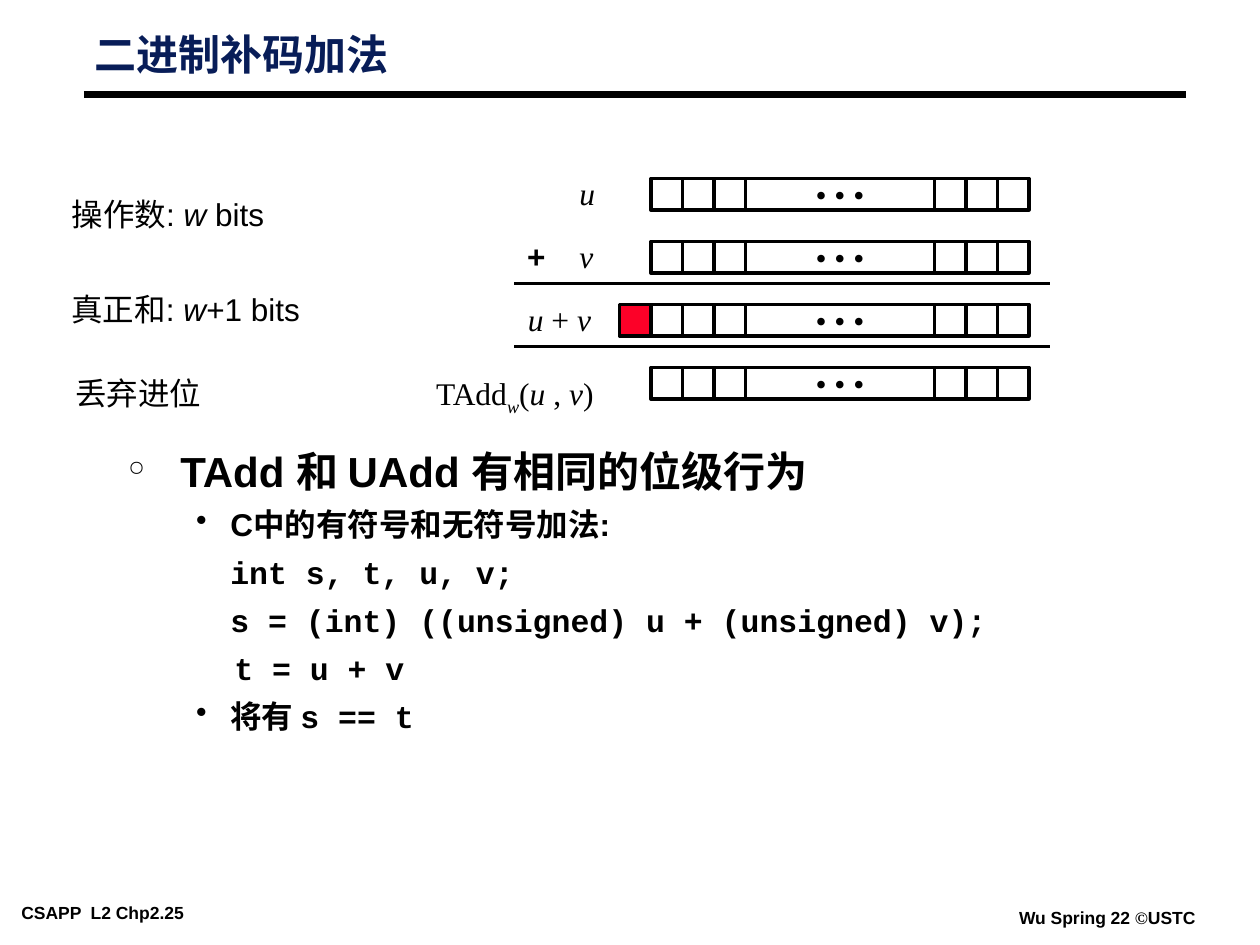
import pptx
import pptx.dml.color
import pptx.enum.shapes
import pptx.enum.text
import pptx.oxml
import pptx.oxml.ns
import pptx.util
from pptx.util import Pt

COLORS = {"ink": "000000", "title": "081D58", "cell": "FFFFFF", "carry": "FC0128"}
SANS, SERIF, MONO = "Arial", "Times New Roman", "Courier New"
ALIGN = pptx.enum.text.PP_ALIGN
MIDDLE = pptx.enum.text.MSO_ANCHOR.MIDDLE
RECT = pptx.enum.shapes.MSO_SHAPE.RECTANGLE
STRAIGHT = pptx.enum.shapes.MSO_CONNECTOR.STRAIGHT

CELL, GAP = 18, 6 * 18          # bit cell side, width of the middle cell
BITS_X, BITS_Y, ROW_STEP = 372, 102, 36


def rgb(name):
    return pptx.dml.color.RGBColor.from_string(COLORS[name])


def add_xml(parent, body):
    ns = pptx.oxml.ns.nsdecls("a")
    parent.append(pptx.oxml.parse_xml(body.replace("/>", f" {ns}/>", 1)
                                      if body.endswith("/>") and body.count("<") == 1
                                      else body.replace(">", f" {ns}>", 1)))


def set_font(font, face, size, bold=None, color="ink"):
    font.name, font.size, font.bold = face, Pt(size), bold
    font.color.rgb = rgb(color)


def add_runs(p, runs):
    """Each run is a text, or a text with a dict of font settings."""
    for run in runs:
        text, settings = (run, {}) if isinstance(run, str) else run
        r = p.add_run()
        r.text = text
        for name, value in settings.items():
            setattr(r.font, name, value)


def add_text(s, box, runs, face=SANS, size=18, bold=None, color="ink",
             align=ALIGN.LEFT, wrap=False, inset=(7.2, 3.6)):
    tb = s.shapes.add_textbox(*map(Pt, box))
    tf = tb.text_frame
    tf.word_wrap = wrap
    tf.margin_left = tf.margin_right = Pt(inset[0])
    tf.margin_top = tf.margin_bottom = Pt(inset[1])
    p = tf.paragraphs[0]
    p.alignment = align
    set_font(p.font, face, size, bold, color)
    add_runs(p, runs)
    return tf


def add_line(s, x1, x2, y, width):
    ln = s.shapes.add_connector(STRAIGHT, Pt(x1), Pt(y), Pt(x2), Pt(y))
    ln.line.color.rgb = rgb("ink")
    ln.line.width = Pt(width)
    add_xml(ln._element.spPr, "<a:effectLst/>")


def add_cell(group, x, y, width=CELL, color="cell"):
    sp = group.shapes.add_shape(RECT, Pt(x), Pt(y), Pt(width), Pt(CELL))
    sp.shadow.inherit = False
    sp.fill.solid()
    sp.fill.fore_color.rgb = rgb(color)
    sp.line.color.rgb = rgb("ink")
    sp.line.width = Pt(2)
    return sp


def add_bit_row(s, y, carry=False):
    group = s.shapes.add_group_shape()
    middle = BITS_X + 3 * CELL
    for start in (BITS_X, middle + GAP):
        for i in range(3):
            add_cell(group, start + i * CELL, y)
    tf = add_cell(group, middle, y, GAP).text_frame
    tf.word_wrap = False
    tf.vertical_anchor = MIDDLE
    p = tf.paragraphs[0]
    p.alignment = ALIGN.CENTER
    set_font(p.font, SERIF, 18)
    add_runs(p, ["•\u00a0•\u00a0•"])
    if carry:
        add_cell(group, BITS_X - CELL, y, color="carry")


def add_body_item(p, runs, face, size, left, hang, spacing, before, bullet):
    pPr = p._p.get_or_add_pPr()
    pPr.set("marL", str(Pt(left)))
    pPr.set("indent", str(-Pt(hang)))
    p.line_spacing, p.space_before = spacing, Pt(before)
    if bullet:
        add_xml(pPr, f'<a:buChar char="{bullet}"/>')
    set_font(p.font, face, size, True)
    add_runs(p, runs)


def add_body(s):
    tf = s.shapes.add_textbox(Pt(66), Pt(258), Pt(589), Pt(165.6)).text_frame
    tf.word_wrap = True
    sub = dict(size=18, spacing=0.85, before=9)
    bullet = dict(sub, face=SANS, left=58.5, hang=19.5, bullet="•")
    code = dict(sub, face=MONO, hang=0, bullet=None)
    items = [
        (["TAdd 和 UAdd 有相同的位级行为"],
         dict(face=SANS, size=24, left=30, hang=30, spacing=0.75, before=19.5, bullet="°")),
        (["C中的有符号和无符号加法:"], bullet),
        (["int s, t, u, v;"], dict(code, left=58.5)),
        (["s = (int) ((unsigned) u + (unsigned) v);"], dict(code, left=58.5)),
        (["t = u + v"], dict(code, left=60.8)),
        (["将有 ", ("s == t", {"name": MONO})], bullet),
    ]
    for i, (runs, style) in enumerate(items):
        p = tf.add_paragraph() if i else tf.paragraphs[0]
        add_body_item(p, runs, **style)


def add_title(s):
    tf = add_text(s, (54, 20.2, 363.6, 25.2), ["二进制补码加法"], size=24, bold=True,
                  color="title", wrap=True, inset=(0, 0))
    tf.vertical_anchor = MIDDLE
    p = tf.paragraphs[0]
    p.line_spacing = 0.87
    add_xml(p.runs[0]._r.get_or_add_rPr(),
            '<a:effectLst><a:outerShdw dist="35921" dir="2700000">'
            '<a:srgbClr val="969696"/></a:outerShdw></a:effectLst>')
    add_line(s, 48, 678, 54, 4.5)


def add_addition(s):
    # Bit vectors and the rules between them
    for i in range(4):
        add_bit_row(s, BITS_Y + i * ROW_STEP, carry=i == 2)
    for y in (162, 198):
        add_line(s, 294, 600, y, 2)

    # Operand names
    it = {"italic": True}
    add_text(s, (324, 96, 23, 28.8), [("u", it)], SERIF)
    add_text(s, (324, 132, 22.3, 28.8), [("v", it)], SERIF)
    add_text(s, (294, 132, 25.2, 28.8), ["+"], MONO, bold=True)
    add_text(s, (294.5, 168, 50.4, 28.8), [("u ", it), "+ ", ("v", it)], SERIF,
             align=ALIGN.RIGHT)
    tf = add_text(s, (240.5, 210, 105.8, 31.7),
                  ["TAdd", ("w", it), "(", ("u", it), " , ", ("v", it), ")"], SERIF,
                  align=ALIGN.RIGHT)
    tf.paragraphs[0].runs[1]._r.get_or_add_rPr().set("baseline", "-25000")

    # Row captions
    add_text(s, (33.8, 108, 128.9, 28.8), ["操作数: ", ("w", it), " bits"])
    add_text(s, (33.8, 162, 149, 28.8), ["真正和: ", ("w", it), "+1 bits"])
    add_text(s, (36, 210, 192.2, 28.8), ["丢弃进位"], wrap=True)


def add_footer(s):
    style = dict(size=10, bold=True, inset=(5, 2.2))
    add_text(s, (7.2, 513.4, 140.4, 15.8), ["CSAPP  L2 Chp2.25"], **style)
    add_text(s, (577.4, 516.2, 110.9, 15.8),
             ["Wu Spring 22 ", ("©", {"name": SERIF}), "USTC"], **style)


def main():
    prs = pptx.Presentation()
    prs.slide_width, prs.slide_height = Pt(720), Pt(540)
    s = prs.slides.add_slide(prs.slide_layouts[6])
    add_footer(s)
    add_title(s)
    add_body(s)
    add_addition(s)
    prs.save("out.pptx")


if __name__ == "__main__":
    main()
